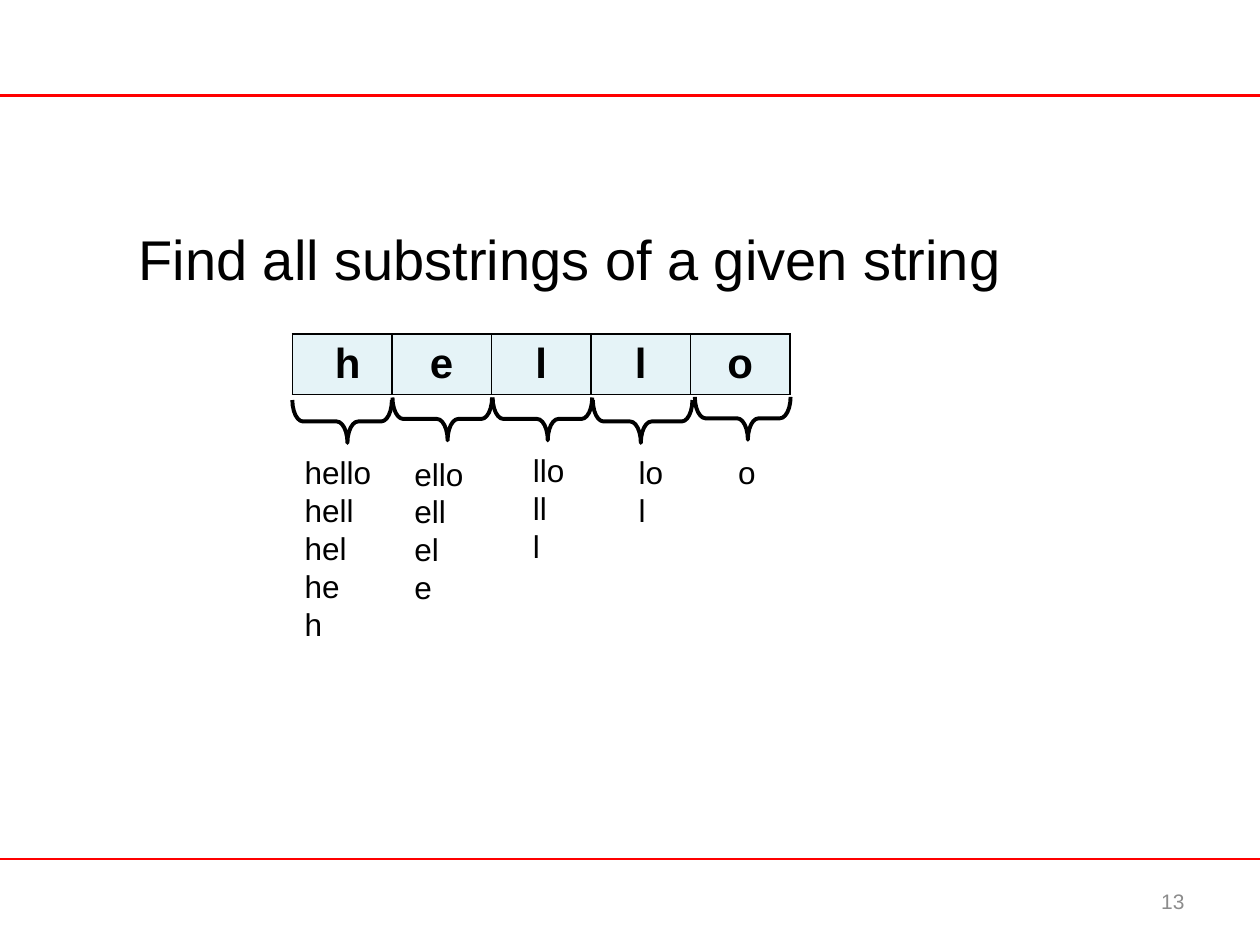
from dataclasses import dataclass

from lxml.etree import SubElement
from pptx import Presentation
from pptx.dml.color import RGBColor
from pptx.enum.shapes import MSO_CONNECTOR, MSO_SHAPE
from pptx.enum.text import MSO_ANCHOR, MSO_AUTO_SIZE, PP_ALIGN
from pptx.oxml.ns import qn
from pptx.util import Inches, Pt

WORD = "hello"
FONT = "Arial"
BLACK, RED, GREY, PALE_BLUE = "000000", "FF0000", "8C8C8C", "E5F3F7"
SLIDE_WIDTH, SLIDE_HEIGHT = 10, 7.5

# Letter grid, in inches
GRID_LEFT, GRID_TOP = 2.32, 2.65
COLUMN, ROW = 0.79, 0.48
BRACE_DEPTH, BRACE_PITCH = 0.34, 0.795
LINE_HEIGHT = 0.3


@dataclass
class Group:
    """Brace and substring list under one letter."""
    brace_top: float
    brace_length: float
    brace_point: float
    list_left: float
    list_top: float
    list_width: float


GROUPS = [
    Group(2.95, 0.79, 0.554, 2.32, 3.55, 0.74),
    Group(2.93, 0.79, 0.554, 3.19, 3.56, 0.62),
    Group(2.93, 0.79, 0.554, 4.13, 3.53, 0.58),
    Group(2.95, 0.79, 0.482, 4.97, 3.55, 0.47),
    Group(2.94, 0.76, 0.554, 5.76, 3.55, 0.36),
]


def color(value: str) -> RGBColor:
    return RGBColor.from_string(value)


def style(para, size: float, value: str = BLACK, bold: bool = False,
          align=PP_ALIGN.LEFT) -> None:
    para.alignment = align
    para.font.name = FONT
    para.font.size = Pt(size)
    para.font.bold = bold
    para.font.color.rgb = color(value)


def add_rule(page, share: float) -> None:
    """Full-width line at a share of the slide height."""
    top = Inches(share * SLIDE_HEIGHT)
    rule = page.shapes.add_connector(
        MSO_CONNECTOR.STRAIGHT, 0, top, Inches(SLIDE_WIDTH), top)
    rule.line.color.rgb = color(RED)
    rule.line.width = Pt(1.5)
    SubElement(rule._element.spPr, qn("a:effectLst"))


def add_text(page, lines: list[str], left: float, top: float, width: float,
             height: float):
    box = page.shapes.add_textbox(
        Inches(left), Inches(top), Inches(width), Inches(height))
    box.text_frame.word_wrap = True
    box.text_frame.text = "\n".join(lines)
    return box.text_frame


def border_cell(cell) -> None:
    properties = cell._tc.get_or_add_tcPr()
    for side in ("a:lnL", "a:lnR", "a:lnT", "a:lnB"):
        line = SubElement(properties, qn(side), w=str(Pt(1)))
        fill = SubElement(line, qn("a:solidFill"))
        SubElement(fill, qn("a:srgbClr"), val=BLACK)


def add_letters(page) -> None:
    table = page.shapes.add_table(
        1, len(WORD), Inches(GRID_LEFT), Inches(GRID_TOP),
        Inches(COLUMN * len(WORD)), Inches(ROW)).table
    for index, letter in enumerate(WORD):
        table.columns[index].width = Inches(COLUMN)
        cell = table.cell(0, index)
        border_cell(cell)
        cell.fill.solid()
        cell.fill.fore_color.rgb = color(PALE_BLUE)
        cell.text = letter
        style(cell.text_frame.paragraphs[0], 24, bold=True, align=PP_ALIGN.CENTER)
    # The first letter sits slightly right of centre
    table.cell(0, 0).margin_left = Inches(0.19)


def add_group(page, index: int, group: Group) -> None:
    # Brace turned to open upwards, centred under its letter
    center = GRID_LEFT + COLUMN / 2 + index * BRACE_PITCH
    brace = page.shapes.add_shape(
        MSO_SHAPE.LEFT_BRACE, Inches(center - BRACE_DEPTH / 2),
        Inches(group.brace_top), Inches(BRACE_DEPTH), Inches(group.brace_length))
    brace.rotation = 270
    brace.adjustments[0] = 0.25
    brace.adjustments[1] = group.brace_point
    brace.shadow.inherit = False
    brace.fill.background()
    brace.line.color.rgb = color(BLACK)
    brace.line.width = Pt(2.25)

    # Substrings that start at this letter, longest first
    substrings = [WORD[index:end] for end in range(len(WORD), index, -1)]
    frame = add_text(page, substrings, group.list_left, group.list_top,
                     group.list_width, 0.1 + LINE_HEIGHT * len(substrings))
    for para in frame.paragraphs:
        style(para, 18)


def main() -> None:
    deck = Presentation()
    deck.slide_width, deck.slide_height = Inches(SLIDE_WIDTH), Inches(SLIDE_HEIGHT)
    page = deck.slides.add_slide(deck.slide_layouts[5])

    # Header and footer rules
    for share in (0.101, 0.909):
        add_rule(page, share)

    # Title
    title = page.shapes.title
    title.left, title.top = Inches(1), Inches(1.73)
    title.width, title.height = Inches(7.33), Inches(0.64)
    title.text_frame.text = "Find all substrings of a given string"
    title.text_frame.vertical_anchor = MSO_ANCHOR.MIDDLE
    title.text_frame.auto_size = MSO_AUTO_SIZE.NONE
    style(title.text_frame.paragraphs[0], 32)

    # Letters with their substrings
    add_letters(page)
    for index, group in enumerate(GROUPS):
        add_group(page, index, group)

    # Page number
    number = add_text(page, ["13"], 7.17, 6.95, 2.33, 0.4)
    number.vertical_anchor = MSO_ANCHOR.MIDDLE
    style(number.paragraphs[0], 12, GREY, align=PP_ALIGN.RIGHT)

    deck.save("out.pptx")


if __name__ == "__main__":
    main()
